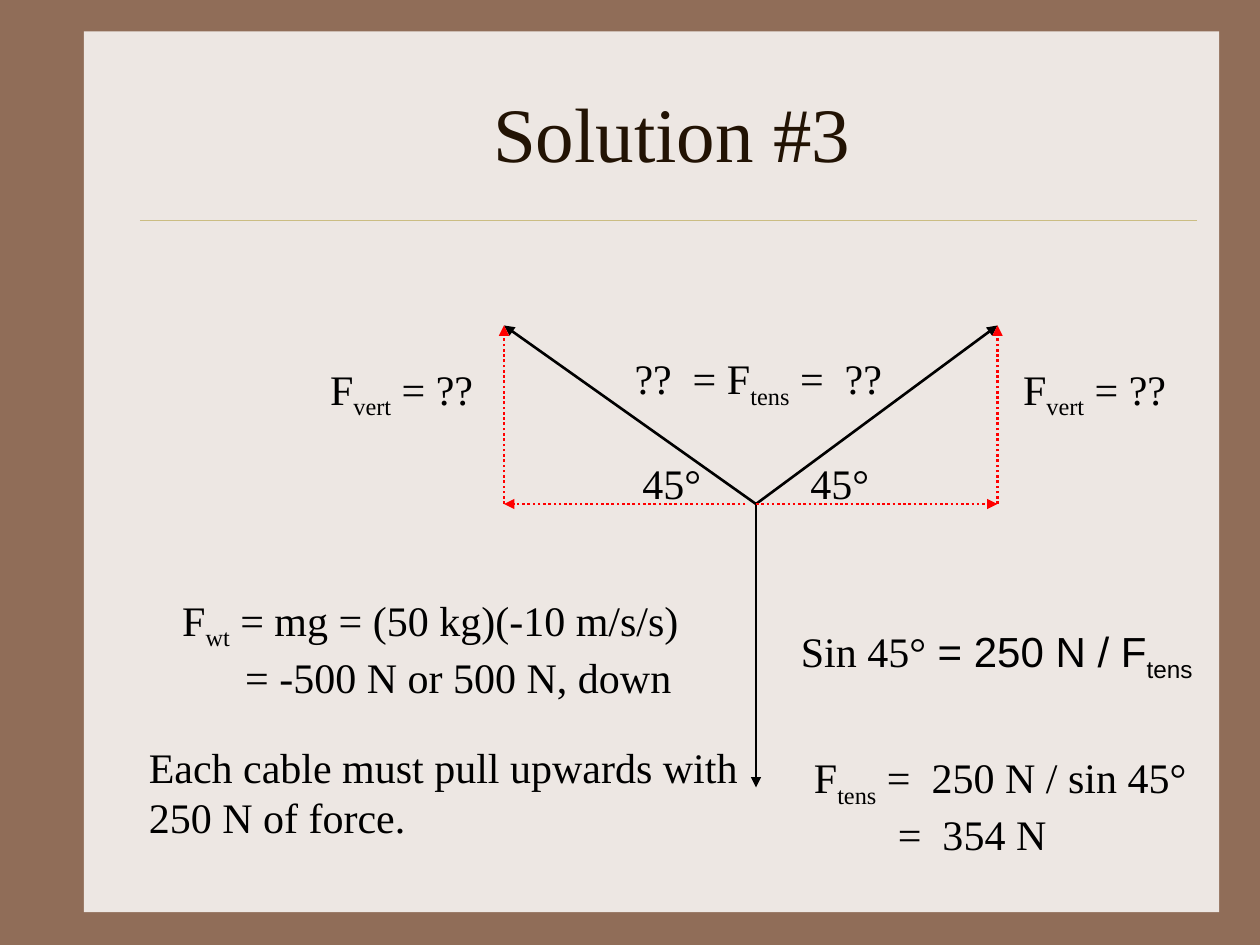
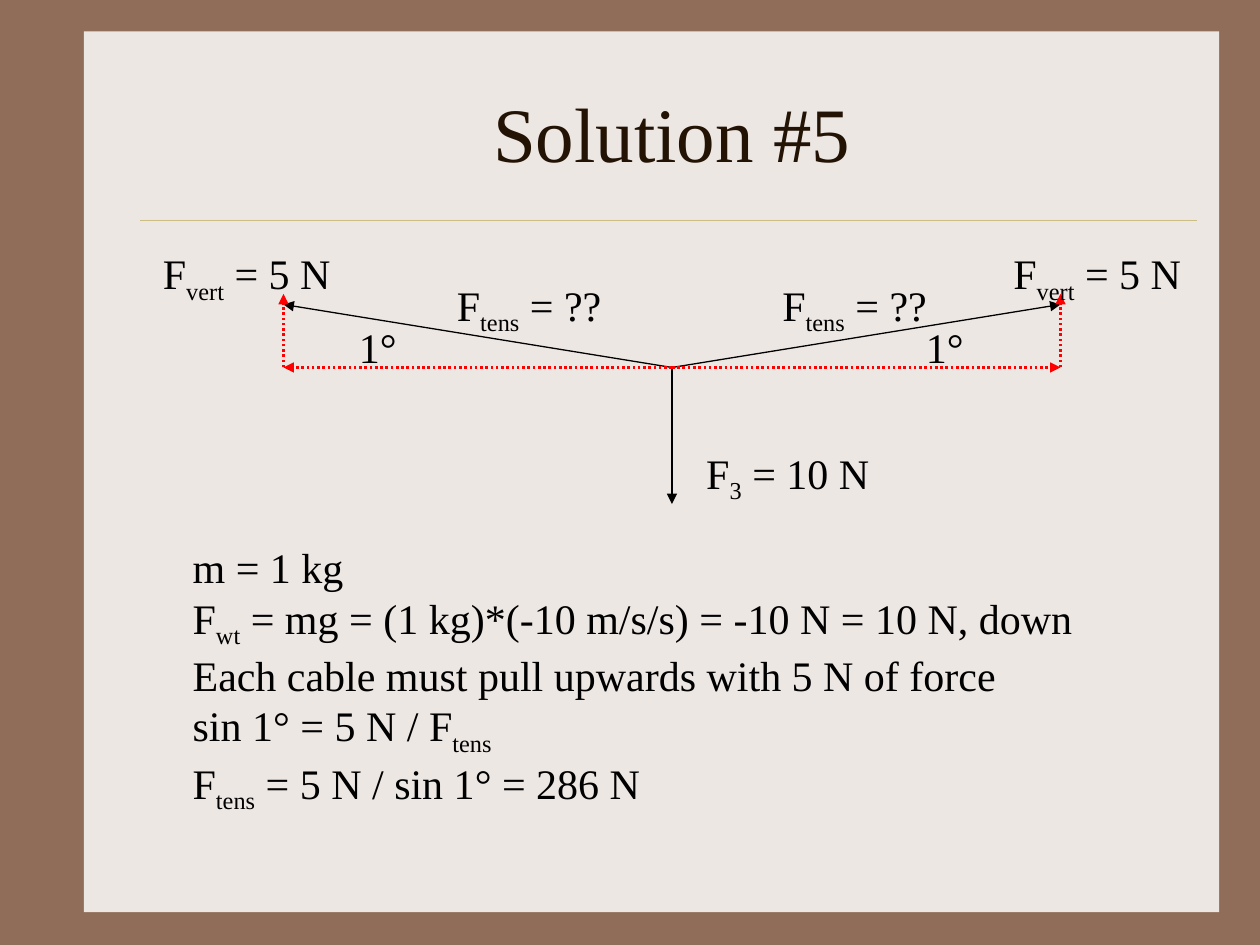
"""Build two worked force-diagram solutions on a shared framed layout."""
from dataclasses import dataclass

from pptx import Presentation
from pptx.dml.color import RGBColor as Rgb
from pptx.enum.dml import MSO_LINE as Dash
from pptx.enum.shapes import MSO_CONNECTOR as Link, MSO_SHAPE as Shape
from pptx.enum.text import MSO_ANCHOR as Anchor, MSO_AUTO_SIZE as Fit, PP_ALIGN as Align
from pptx.oxml.ns import qn
from pptx.util import Pt
from lxml.etree import SubElement


@dataclass(frozen=True)
class Theme:
    border: Rgb = Rgb.from_string("906D58")
    panel: Rgb = Rgb.from_string("EDE7E3")
    rule: Rgb = Rgb.from_string("CBBD83")
    title: Rgb = Rgb.from_string("221304")
    ink: Rgb = Rgb.from_string("000000")
    component: Rgb = Rgb.from_string("FF0000")
    serif: str = "Times New Roman"
    sans: str = "Arial"
    title_size: int = 44
    text_size: int = 24
    line_height: float = 28.8
    padding: float = 7.2
    subscript: str = "-25000"
    component_width: float = 1.5
    rule_width: float = 0.25


@dataclass(frozen=True)
class Label:
    """Text with _subscripts_; a bar switches to the sans font."""
    lines: tuple
    left: float
    top: float
    width: float
    indent: float = 0


@dataclass(frozen=True)
class Forces:
    node: tuple
    left: float
    right: float
    cable_top: float
    vertical_top: float
    weight_bottom: float
    force_width: float
    left_gap: float = 0


THEME = Theme()
PANEL = (48, 18, 648.75, 503.25)
TITLE = (84, 30, 600, 90)
RULE = ((80, 126), (684, 126))

SOLUTIONS = [
    ("Solution #3",
     Forces((432, 288), 288, 570, 186, 186, 450, 1.5, left_gap=6),
     [
         Label(("F_vert_ = ??",), 577.5, 204, 99),
         Label(("F_vert_ = ??",), 181.5, 204, 99),
         Label(("??  = F_tens_ =  ??",), 355.5, 198, 159),
         Label(("F_wt_ = mg = (50 kg)(-10 m/s/s)", "= -500 N or 500 N, down"),
               97, 336, 301, indent=36),
         Label(("45°",), 360, 258, 51),
         Label(("45°",), 456, 258, 51),
         Label(("Each cable must pull upwards with", "250 N of force."), 78, 420, 354),
         Label(("Sin 45°| = 250 N / F_tens_",), 450.5, 354, 243),
         Label(("F_tens_ =  250 N / sin 45°", "=  354 N"), 458, 426, 231, indent=48),
     ]),
    ("Solution #5",
     Forces((384, 210), 162, 606, 174, 168, 288, 0.75),
     [
         Label(("F_tens_ = ??",), 440, 156, 100),
         Label(("F_tens_ = ??",), 254, 156, 100),
         Label(("F_vert_ = 5 N",), 572, 138, 113),
         Label(("F_vert_ = 5 N",), 86, 138, 113),
         Label(("1°",), 198, 180, 39),
         Label(("1°",), 522, 180, 39),
         Label(("F_3_ = 10 N",), 396.5, 252, 111),
         Label(("m = 1 kg",
                "F_wt_ = mg = (1 kg)*(-10 m/s/s) = -10 N = 10 N, down",
                "Each cable must pull upwards with 5 N of force",
                "sin 1° = 5 N / F_tens_",
                "F_tens_ = 5 N / sin 1° = 286 N"), 103, 306, 520),
     ]),
]


def apply(target, **values):
    for attribute, value in values.items():
        setattr(target, attribute, value)


def points(values):
    return [Pt(value) for value in values]


def draw_line(slide, start, end, color, width, dash=None, arrow=True):
    link = slide.shapes.add_connector(Link.STRAIGHT, *points(start + end))
    link.line.color.rgb = color
    apply(link.line, width=Pt(width), dash_style=dash)
    if arrow:
        SubElement(link.line._get_or_add_ln(), qn("a:tailEnd"), type="triangle")
    SubElement(link._element.spPr, qn("a:effectLst"))
    return link


def furnish_layout(layout, slide):
    """Move the panel and title rule, drawn on a slide, into the layout."""
    panel = slide.shapes.add_shape(Shape.RECTANGLE, *points(PANEL))
    panel.shadow.inherit = False
    panel.fill.solid()
    panel.fill.fore_color.rgb = THEME.panel
    panel.line.fill.background()
    rule = draw_line(slide, *RULE, THEME.rule, THEME.rule_width, arrow=False)
    for place, part in enumerate((panel, rule), start=2):
        layout.shapes._spTree.insert(place, part._element)


def write_title(slide, heading):
    title = slide.shapes.title
    apply(title, **dict(zip(("left", "top", "width", "height"), points(TITLE))))
    frame = title.text_frame
    frame.text = heading
    apply(frame, auto_size=Fit.NONE, word_wrap=True, vertical_anchor=Anchor.MIDDLE)
    line = frame.paragraphs[0]
    line.alignment = Align.CENTER
    apply(line.runs[0].font, name=THEME.serif, size=Pt(THEME.title_size))
    line.runs[0].font.color.rgb = THEME.title


def write_line(paragraph, text):
    for face, section in zip((THEME.serif, THEME.sans), text.split("|")):
        for index, piece in enumerate(section.split("_")):
            if not piece:
                continue
            run = paragraph.add_run()
            run.text = piece
            apply(run.font, name=face, size=Pt(THEME.text_size))
            run.font.color.rgb = THEME.ink
            if index % 2:
                run._r.get_or_add_rPr().set("baseline", THEME.subscript)


def write_label(slide, label):
    height = len(label.lines) * THEME.line_height + THEME.padding
    box = slide.shapes.add_textbox(*points((label.left, label.top, label.width, height)))
    frame = box.text_frame
    apply(frame, word_wrap=False, auto_size=Fit.SHAPE_TO_FIT_TEXT)
    for index, text in enumerate(label.lines):
        paragraph = frame.add_paragraph() if index else frame.paragraphs[0]
        if index and label.indent:
            paragraph._p.get_or_add_pPr().set("marL", str(int(Pt(label.indent))))
        write_line(paragraph, text)


def draw_forces(slide, forces):
    x, y = forces.node
    ends = [(forces.left, x - forces.left_gap), (forces.right, x)]
    for end in [(side, forces.cable_top) for side, _ in ends] + [(x, forces.weight_bottom)]:
        draw_line(slide, forces.node, end, THEME.ink, forces.force_width)
    for side, origin in ends:
        corner = (side, y)
        for start, end in (((origin, y), corner), (corner, (side, forces.vertical_top))):
            draw_line(slide, start, end, THEME.component, THEME.component_width, Dash.ROUND_DOT)


def main():
    deck = Presentation()
    apply(deck, slide_width=Pt(720), slide_height=Pt(540))
    backdrop = deck.slide_master.background.fill
    backdrop.solid()
    backdrop.fore_color.rgb = THEME.border
    layout = deck.slide_layouts.get_by_name("Title Only")
    slides = [deck.slides.add_slide(layout) for _ in SOLUTIONS]
    furnish_layout(layout, slides[0])
    for slide, (heading, forces, labels) in zip(slides, SOLUTIONS):
        write_title(slide, heading)
        draw_forces(slide, forces)
        for label in labels:
            write_label(slide, label)
    deck.save("out.pptx")


if __name__ == "__main__":
    main()
